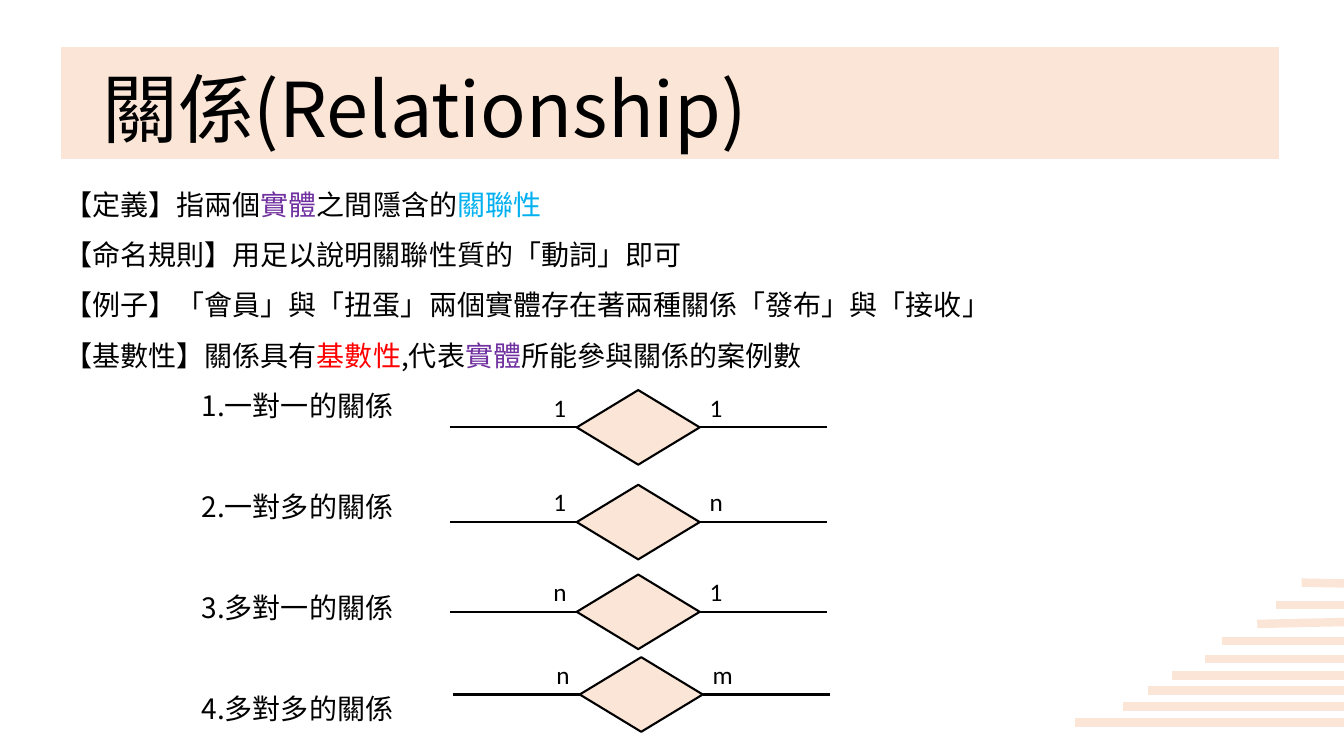
from dataclasses import dataclass
from lxml import etree
from pptx import Presentation
from pptx.dml.color import RGBColor
from pptx.enum.shapes import MSO_CONNECTOR, MSO_SHAPE
from pptx.enum.text import MSO_ANCHOR
from pptx.oxml.ns import qn
from pptx.util import Inches, Pt


@dataclass(frozen=True)
class Theme:
    peach: str = "FBE5D6"
    white: str = "FFFFFF"
    black: str = "000000"
    purple: str = "7030A0"
    blue: str = "00B0F0"
    red: str = "FF0000"
    cjk: str = "Noto Sans CJK SC"
    latin: str = "Calibri"
    title: int = 54
    body: int = 20
    label: int = 18
    leading: int = 36


class SlideBuilder:
    def __init__(self, slide, theme):
        self.shapes = slide.shapes
        self.theme = theme

    def shape(self, kind, x, y, w, h, line, width):
        shape = self.shapes.add_shape(kind, Inches(x), Inches(y), Inches(w), Inches(h))
        shape.shadow.inherit = False
        shape.fill.solid()
        shape.fill.fore_color.rgb = RGBColor.from_string(self.theme.peach)
        shape.line.color.rgb = RGBColor.from_string(line)
        shape.line.width = Pt(width)

    def line(self, x1, y1, x2, y2, color, width):
        line = self.shapes.add_connector(
            MSO_CONNECTOR.STRAIGHT, Inches(x1), Inches(y1), Inches(x2), Inches(y2))
        line.line.color.rgb = RGBColor.from_string(color)
        line.line.width = Pt(width)
        etree.SubElement(line._element.spPr, qn("a:effectLst"))

    def text_box(self, x, y, w, h, wrap=True):
        box = self.shapes.add_textbox(Inches(x), Inches(y), Inches(w), Inches(h))
        box.text_frame.word_wrap = wrap
        return box.text_frame

    def run(self, paragraph, text, size, font, color):
        run = paragraph.add_run()
        run.text = text
        run.font.size = Pt(size)
        run.font.name = font
        run.font.color.rgb = RGBColor.from_string(color)
        east_asian = etree.Element(qn("a:ea"), typeface=font)
        run.font._element.find(qn("a:latin")).addnext(east_asian)

    def title(self, text, x, y, w, h):
        frame = self.text_box(x, y, w, h)
        frame.vertical_anchor = MSO_ANCHOR.MIDDLE
        paragraph = frame.paragraphs[0]
        paragraph.line_spacing = 0.9
        self.run(paragraph, text, self.theme.title, self.theme.cjk, self.theme.black)

    def body(self, definitions, cases, x, y, w, h):
        theme = self.theme
        frame = self.text_box(x, y, w, h)
        rows = definitions + [[(f"{i}.{case}", theme.black)]
                              for i, case in enumerate(cases, 1)]
        for index, runs in enumerate(rows):
            paragraph = frame.add_paragraph() if index else frame.paragraphs[0]
            paragraph.line_spacing = Pt(theme.leading)
            if index >= len(definitions):
                paragraph._p.get_or_add_pPr().set("marL", str(Inches(1.36)))
            if index > len(definitions):
                paragraph.space_before = Pt(theme.leading)
            for text, color in runs:
                self.run(paragraph, text, theme.body, theme.cjk, color)

    def label(self, text, x, y):
        frame = self.text_box(x, y, 0.34, 0.4, wrap=False)
        self.run(frame.paragraphs[0], text, self.theme.label,
                 self.theme.latin, self.theme.black)

    def relationship(self, x, y, left, right):
        black = self.theme.black
        arm, width, height = 1.26, 1.22, 0.74
        diamond_left, diamond_right = x + arm, x + arm + width
        self.line(x, y, diamond_left, y, black, 1.5)
        self.shape(MSO_SHAPE.DIAMOND, diamond_left, y - height / 2,
                   width, height, black, 1.5)
        self.line(diamond_right, y, diamond_right + arm, y, black, 1.5)
        self.label(left, diamond_left - 0.33, y - 0.4)
        self.label(right, diamond_right, y - 0.4)


theme = Theme()
presentation = Presentation()
presentation.slide_width = Inches(13.33)
presentation.slide_height = Inches(7.5)
slide = presentation.slides.add_slide(presentation.slide_layouts[6])
builder = SlideBuilder(slide, theme)

definitions = [
    [("【定義】指兩個", theme.black), ("實體", theme.purple),
     ("之間隱含的", theme.black), ("關聯性", theme.blue)],
    [("【命名規則】用足以說明關聯性質的「動詞」即可", theme.black)],
    [("【例子】「會員」與「扭蛋」兩個實體存在著兩種關係「發布」與「接收」", theme.black)],
    [("【基數性】關係具有", theme.black), ("基數性", theme.red), (",代表".replace(",", ","), theme.black),
     ("實體", theme.purple), ("所能參與關係的案例數", theme.black)],
]
cases = ["一對一的關係", "一對多的關係", "多對一的關係", "多對多的關係"]
builder.body(definitions, cases, 0.54, 1.64, 12.79, 5.65)

builder.shape(MSO_SHAPE.RECTANGLE, 0.54, 0.4, 12.21, 1.24, theme.white, 9)
builder.title("關係(Relationship)", 0.92, 0.4, 11.5, 1.45)

stripes = [
    (10.66, 7.17, 7.17), (11.14, 7.01, 7.01), (11.39, 6.85, 6.85),
    (11.62, 6.7, 6.7), (11.95, 6.54, 6.54), (12.12, 6.36, 6.36),
    (12.47, 6.19, 6.17), (12.66, 6, 6), (12.91, 5.78, 5.79),
]
for start, y1, y2 in stripes:
    builder.line(start, y1, 13.39, y2, theme.peach, 6)

relationships = [
    (4.46, 4.24, "1", "1"), (4.46, 5.18, "1", "n"),
    (4.46, 6.07, "n", "1"), (4.49, 6.89, "n", "m"),
]
for relationship in relationships:
    builder.relationship(*relationship)

presentation.save("out.pptx")
